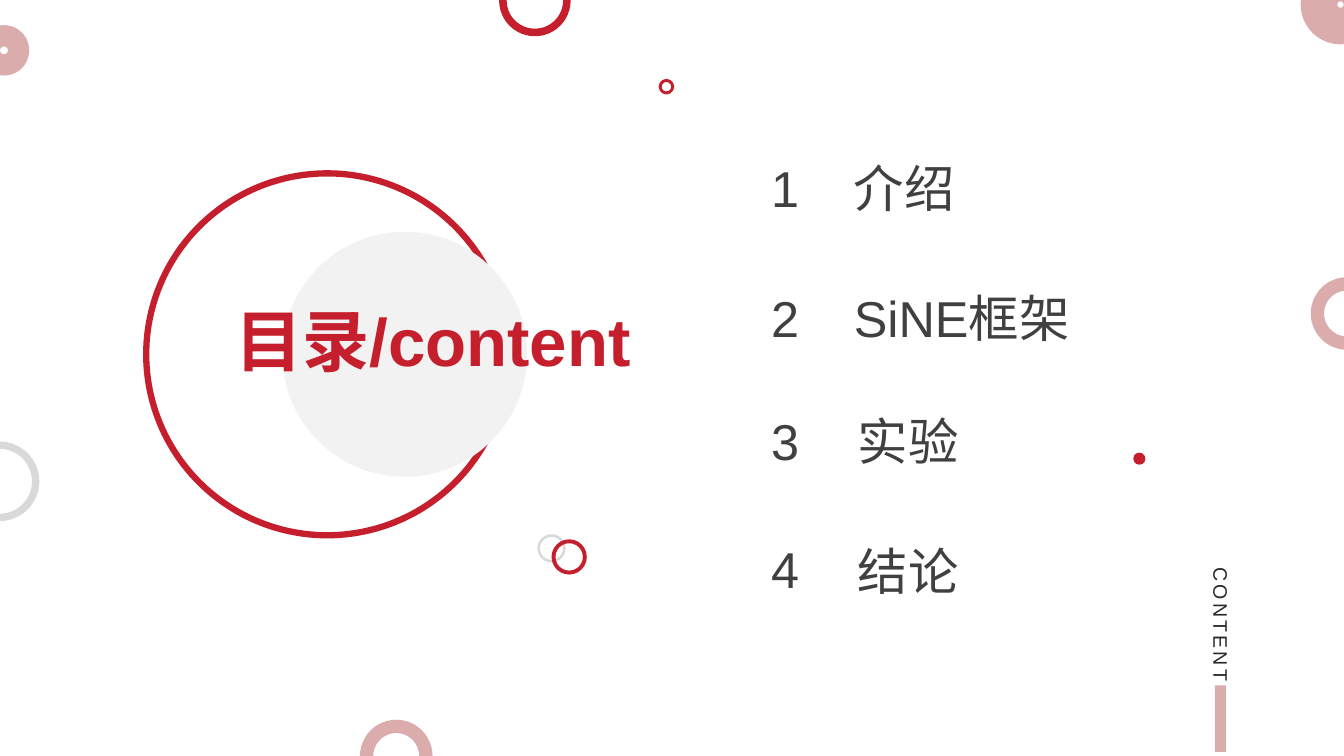
from lxml import etree
from pptx import Presentation
from pptx import util as u
from pptx.dml.color import RGBColor
from pptx.enum import shapes, text
from pptx.oxml import ns

PX = 9144
COLORS = {
    "red": "C51F2D",
    "rose": "DAACAB",
    "silver": "D9D9D9",
    "mist": "F2F2F2",
    "ink": "404040",
    "caption": "292929",
}
LATIN, CHINESE = "Arial", "Noto Sans CJK SC"
FORMATS = {
    "entry": {"size": u.Pt(36)},
    "title": {"size": u.Pt(48), "bold": True},
    "caption": {"size": u.Pt(14)},
}
CAPTION_INSETS = {
    "margin_left": 7 * PX,
    "margin_right": 7 * PX,
    "margin_top": 4 * PX,
    "margin_bottom": 4 * PX,
}
ENTRIES = [
    ("1", "介绍", 837, 151, 151),
    ("2", "SiNE框架", 837, 280, 280),
    ("3", "实验", 841, 402, 402),
    ("4", "结论", 841, 529, 531),
]
RINGS = [
    (-40, 438, 79, 0.092, "silver"),
    (533, 530, 28, 0.092, "silver"),
    (547, 535, 35, 0.112, "red"),
    (357, 714, 72, 0.184, "rose"),
    (-21, 25, 50, 0.421, "rose"),
    (495, -35, 71, 0.106, "red"),
    (654, 79, 14, 0.112, "red"),
    (1300, 275, 72, 0.184, "rose"),
    (1290, -35, 79, 0.46, "rose"),
]


def rgb(color):
    return RGBColor.from_string(COLORS[color])


def apply(target, values):
    for name, value in values.items():
        setattr(target, name, value)


def add_figure(slide, kind, box, fill=None, line=None, weight=1):
    figure = slide.shapes.add_shape(kind, *(n * PX for n in box))
    figure.shadow.inherit = False
    if fill:
        figure.fill.solid()
        figure.fill.fore_color.rgb = rgb(fill)
    else:
        figure.fill.background()
    if line:
        figure.line.color.rgb = rgb(line)
        figure.line.width = u.Pt(weight)
    else:
        figure.line.fill.background()
    return figure


def add_circle(slide, x, y, size, **style):
    add_figure(slide, shapes.MSO_SHAPE.OVAL, (x, y, size, size), **style)


def add_ring(slide, x, y, size, thickness, color, line=None):
    ring = add_figure(slide, shapes.MSO_SHAPE.DONUT, (x, y, size, size), color, line)
    ring.adjustments[0] = thickness


def add_label(parent, words, box, style, color, latin=LATIN, align=None):
    label = parent.shapes.add_textbox(*(n * PX for n in box))
    frame = label.text_frame
    apply(frame, {"word_wrap": True, "auto_size": text.MSO_AUTO_SIZE.SHAPE_TO_FIT_TEXT})
    paragraph = frame.paragraphs[0]
    paragraph.alignment = align
    run = paragraph.add_run()
    run.text = words
    apply(run.font, {**FORMATS[style], "name": latin})
    run.font.color.rgb = rgb(color)
    etree.SubElement(run.font._element, ns.qn("a:ea"), typeface=CHINESE)
    return label


def add_entry(slide, number, topic, topic_x, number_y, topic_y):
    entry = slide.shapes.add_group_shape()
    latin = CHINESE if number == "1" else LATIN
    add_label(entry, topic, (topic_x, topic_y, 287, 71), "entry", "ink", latin)
    add_label(entry, number, (755, number_y, 46, 71), "entry", "ink")


def add_caption(slide):
    caption = add_label(slide, "CONTENT", (1191, 559, 39, 201), "caption", "caption")
    frame = caption.text_frame
    apply(frame, CAPTION_INSETS)
    frame._txBody.bodyPr.set("vert", "eaVert")
    frame.paragraphs[0].runs[0].font._element.set("spc", "220")


def main():
    deck = Presentation()
    apply(deck, {"slide_width": 1333 * PX, "slide_height": 750 * PX})
    slide = deck.slides.add_slide(deck.slide_layouts[6])

    add_circle(slide, 145, 172, 359, line="red", weight=4.5)
    for entry in ENTRIES:
        add_entry(slide, *entry)
    add_caption(slide)
    add_figure(slide, shapes.MSO_SHAPE.RECTANGLE, (1205, 680, 11, 66), "rose")
    for x, y, size, thickness, color in RINGS:
        add_ring(slide, x, y, size, thickness, color, "red" if size == 14 else None)
    add_circle(slide, 1124, 449, 12, fill="red")
    add_circle(slide, 280, 230, 243, fill="mist")
    add_label(slide, "目录/content", (214, 292, 431, 91), "title", "red",
              align=text.PP_ALIGN.CENTER)

    deck.save("out.pptx")


if __name__ == "__main__":
    main()
